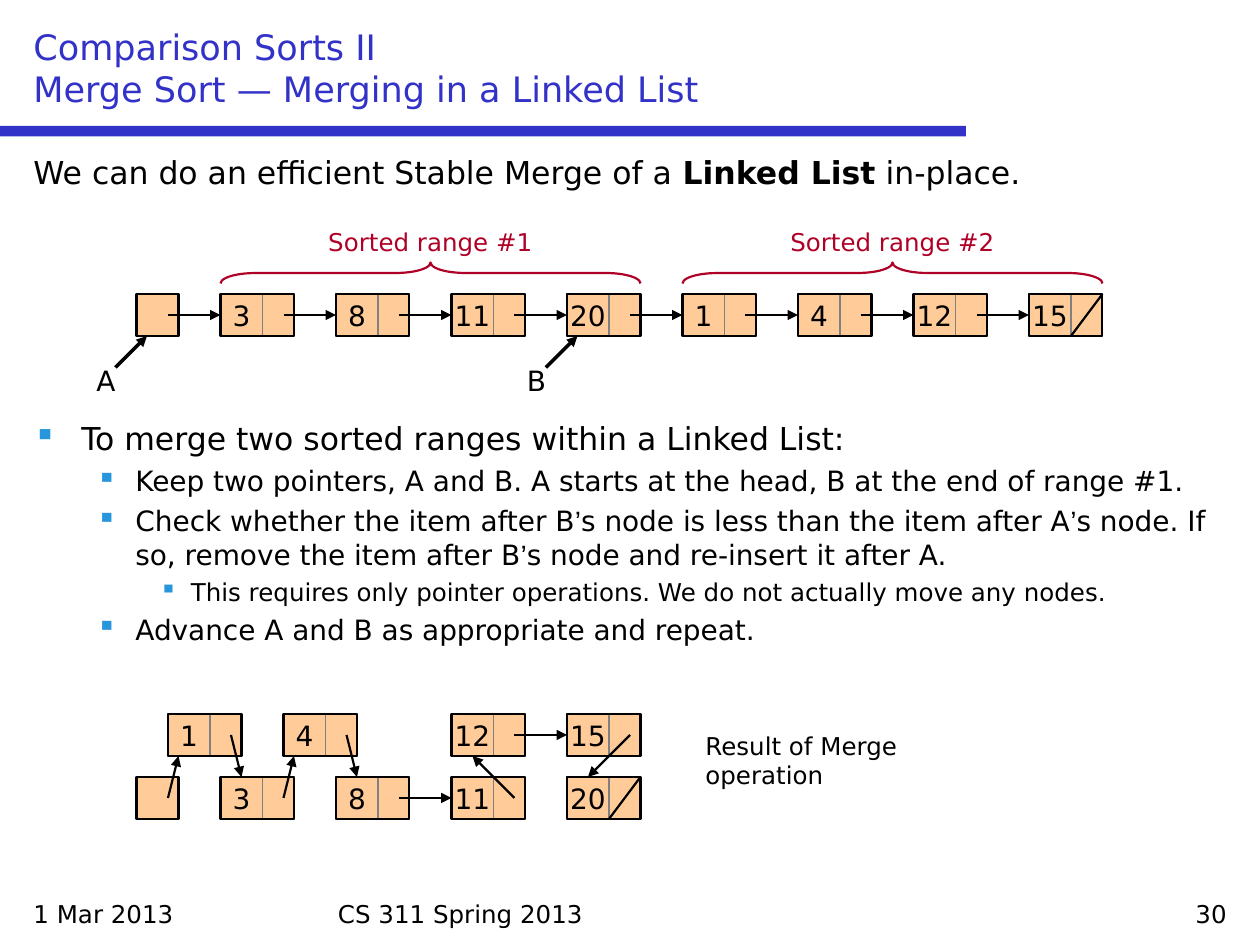
from pptx import Presentation, util as u
from pptx.dml.color import RGBColor
from pptx.enum import shapes, text
from pptx.oxml.ns import qn
from lxml import etree

FONT = "DejaVu Sans"
COLORS = {"ink": "000000", "blue": "3232C8", "red": "AF0028", "node": "FFCC99",
          "gray": "808080", "bullet": "2896DC"}
LEFT, CENTER, RIGHT = text.PP_ALIGN.LEFT, text.PP_ALIGN.CENTER, text.PP_ALIGN.RIGHT

# All places are in twelfths of an inch.
LABELS = [
    ("1 Mar 2013", (2, 85, 28, 4), 14, "ink", LEFT),
    ("CS 311 Spring 2013", (31, 85, 58, 4), 14, "ink", LEFT),
    ("30", (90, 85, 28, 4), 14, "ink", RIGHT),
    ("Sorted range #1", (26, 21, 30, 4), 14, "red", CENTER),
    ("Sorted range #2", (70, 21, 30, 4), 14, "red", CENTER),
    ("Result of Merge operation", (66, 69, 27, 7), 14, "ink", LEFT),
    ("A", (8, 34, 4, 4.4), 16, "ink", CENTER),
    ("B", (49, 34, 4, 4.4), 16, "ink", CENTER),
]
TITLE = "Comparison Sorts II\vMerge Sort — Merging in a Linked List"
BODY = [
    (None, "We can do an efficient Stable Merge of a |Linked List| in-place."),
    (0, "To merge two sorted ranges within a Linked List:"),
    (1, "Keep two pointers, A and B. A starts at the head, B at the end of range #1."),
    (1, "Check whether the item after B|’|s node is less than the item after A|’|s node. "
        "If so, remove the item after B|’|s node and re-insert it after A."),
    (2, "This requires only pointer operations. We do not actually move any nodes."),
    (1, "Advance A and B as appropriate and repeat."),
]
LEVELS = [(18, 0.38, 0.38), (16, 0.81, 0.31), (14, 1.25, 0.25)]
FIGURE_GAP = 130.5

START, PITCH, HEAD = 21, 11, 13
TOP, UPPER, LOWER = 28, 68, 74
ITEMS = [3, 8, 11, 20, 1, 4, 12, 15]
NODES = [(n, START + PITCH * i, TOP) for i, n in enumerate(ITEMS)]
NODES += [(n, START + PITCH * i, LOWER) for i, n in enumerate(ITEMS[:4])]
NODES += [(n, x, UPPER) for n, x in [(1, 16), (4, 27), (12, 43), (15, 54)]]
LINKS = [(START + PITCH * i - 5, TOP + 2, START + PITCH * i, TOP + 2)
         for i in range(len(ITEMS))]
LINKS += [(16, 76, 17, 72), (22, 70, 23, 74), (27, 76, 28, 72), (33, 70, 34, 74),
          (38, 76, 43, 76), (49, 76, 45, 72), (49, 70, 54, 70), (60, 70, 56, 74)]
ENDS = [(102, 32, 105, 28), (58, 78, 61, 74)]
POINTERS = [(11, 35, 14, 32), (52, 35, 55, 32)]
BRACES = [40, 84]

deck = Presentation()
deck.slide_width, deck.slide_height = u.Inches(10), u.Inches(7.5)
slide = deck.slides.add_slide(deck.slide_layouts[6])


def rgb(name):
    return RGBColor.from_string(COLORS[name])


def grid(place):
    return [u.Inches(n / 12) for n in place]


def style(par, size, color, align=LEFT):
    par.alignment = align
    par.font.name, par.font.size = FONT, u.Pt(size)
    par.font.color.rgb = rgb(color)


def frame(place):
    box = slide.shapes.add_textbox(*grid(place)).text_frame
    box.word_wrap = True
    return box


def label(words, place, size, color, align):
    box = frame(place)
    box.text = words
    style(box.paragraphs[0], size, color, align)
    return box


def shape(kind, place, fill=None, line=None, width=1.25):
    item = slide.shapes.add_shape(kind, *grid(place))
    item.shadow.inherit = False
    if fill:
        item.fill.solid()
        item.fill.fore_color.rgb = rgb(fill)
    else:
        item.fill.background()
    if line:
        item.line.color.rgb = rgb(line)
        item.line.width = u.Pt(width)
    else:
        item.line.fill.background()
    return item


def rect(*args):
    return shape(shapes.MSO_SHAPE.RECTANGLE, *args)


def line(ends, width=1.25, arrow=True):
    item = slide.shapes.add_connector(shapes.MSO_CONNECTOR.STRAIGHT, *grid(ends))
    item.line.color.rgb = rgb("ink")
    item.line.width = u.Pt(width)
    if arrow:
        etree.SubElement(item.line._get_or_add_ln(), qn("a:tailEnd"), type="triangle")
    etree.SubElement(item._element.spPr, qn("a:effectLst"))


def node(value, x, y):
    cell = rect((x, y, 4, 4), "node", "gray", 0.75).text_frame
    cell.word_wrap = False
    cell.vertical_anchor = text.MSO_ANCHOR.MIDDLE
    cell.text = str(value)
    style(cell.paragraphs[0], 16, "ink", CENTER)
    rect((x + 4, y, 3, 4), "node", "gray", 0.75)
    rect((x, y, 7, 4), None, "ink")


def bullet(par, level):
    _, left, hang = LEVELS[level]
    par.level = level
    props = par._p.get_or_add_pPr()
    props.set("marL", str(u.Inches(left)))
    props.set("indent", str(-u.Inches(hang)))
    tint = etree.SubElement(props, qn("a:buClr"))
    etree.SubElement(tint, qn("a:srgbClr"), val=COLORS["bullet"])
    etree.SubElement(props, qn("a:buChar"), char="▪")


def body():
    box = frame((2, 14, 116, 70))
    for i, (level, words) in enumerate(BODY):
        par = box.paragraphs[0] if i == 0 else box.add_paragraph()
        size = LEVELS[level or 0][0]
        if level is not None:
            bullet(par, level)
            par.space_before = u.Pt(FIGURE_GAP if level == 0 else round(size * 0.23, 1))
        style(par, size, "ink")
        for j, part in enumerate(words.split("|")):
            run = par.add_run()
            run.text = part
            if part == "’":
                run.font.name = "Arial"
            elif j % 2:
                run.font.bold = True


rect((0, 12, 92, 1), "blue")
label(TITLE, (2, 2, 116, 9), 20, "blue", LEFT).vertical_anchor = text.MSO_ANCHOR.BOTTOM
body()
for args in LABELS:
    label(*args)
for y in (TOP, LOWER):
    rect((HEAD, y, 4, 4), "node", "ink")
for args in NODES:
    node(*args)
for x in BRACES:
    brace = shape(shapes.MSO_SHAPE.LEFT_BRACE, (x, 6, 2, 40), None, "red")
    brace.rotation = 90
    brace.adjustments[0], brace.adjustments[1] = 1.67, 0.5
for ends in LINKS:
    line(ends)
for ends in ENDS:
    line(ends, arrow=False)
for ends in POINTERS:
    line(ends, 2)

deck.save("out.pptx")
